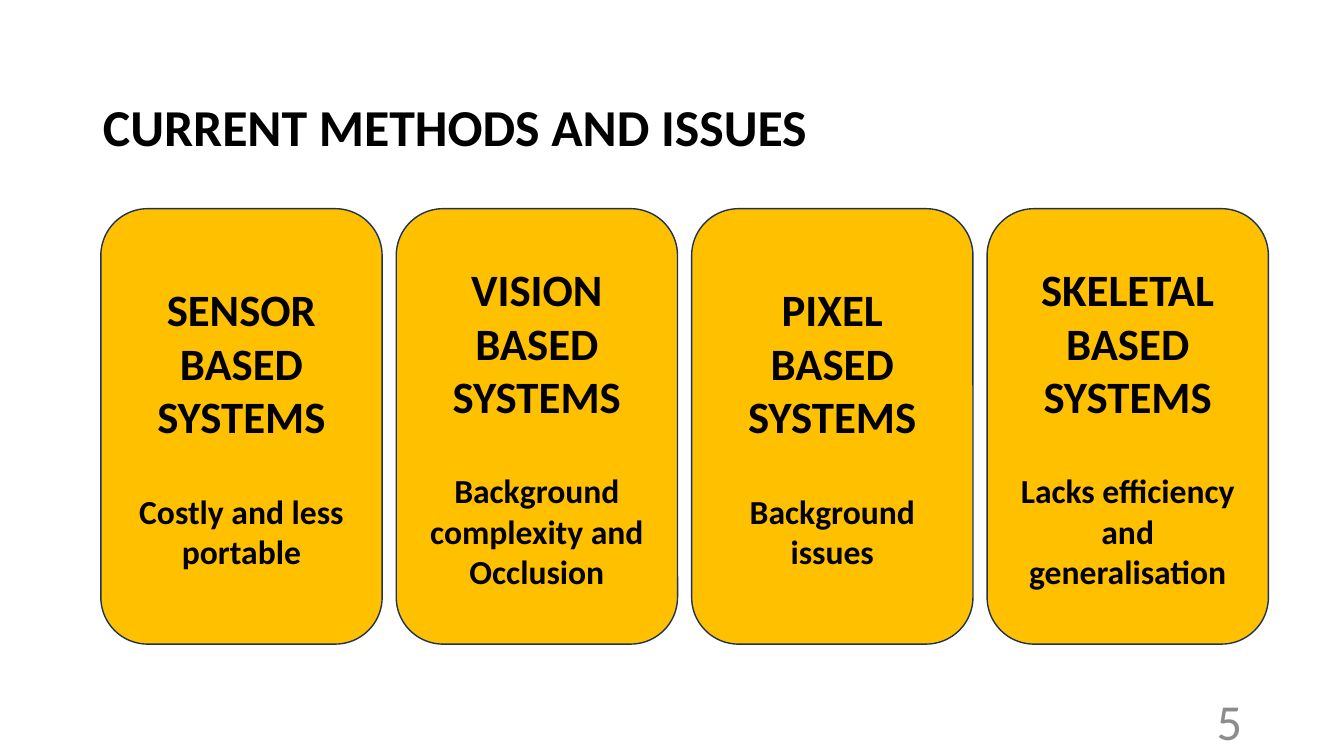
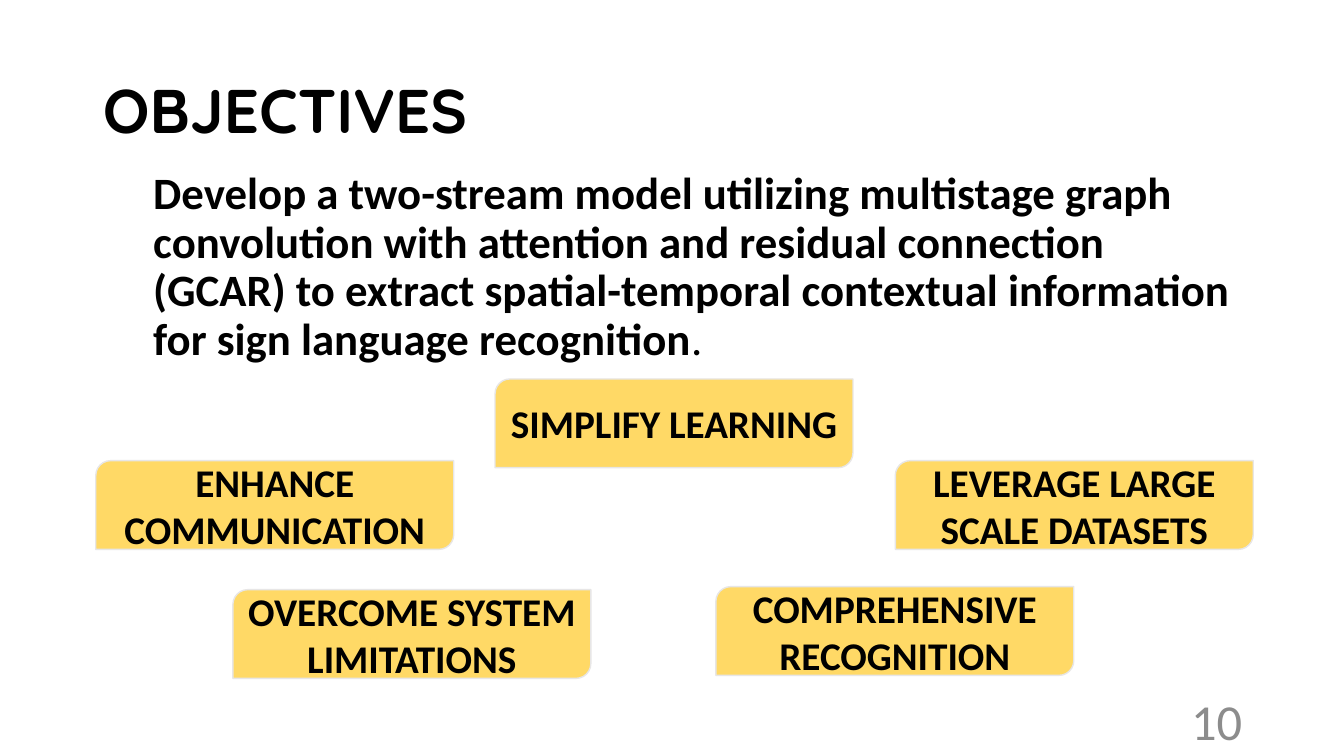
from pptx import Presentation
from pptx.dml.color import RGBColor
from pptx.enum.shapes import MSO_SHAPE
from pptx.enum.text import MSO_ANCHOR, MSO_AUTO_SIZE, PP_ALIGN
from pptx.util import Inches, Pt

ROUNDED = MSO_SHAPE.ROUNDED_RECTANGLE
DIAGONAL = MSO_SHAPE.ROUND_2_DIAG_RECTANGLE
TOP, MIDDLE = MSO_ANCHOR.TOP, MSO_ANCHOR.MIDDLE
LEFT, CENTER, RIGHT = PP_ALIGN.LEFT, PP_ALIGN.CENTER, PP_ALIGN.RIGHT
NO_AUTOFIT = MSO_AUTO_SIZE.NONE
TITLE_ONLY = 5


def color(hex_value):
    return RGBColor.from_string(hex_value)


def write(paragraph, text, size, font="Calibri", ink="000000", bold=True,
          align=LEFT, spacing=1.0, before=0):
    """Append one formatted run to a paragraph."""
    paragraph.alignment = align
    paragraph.line_spacing = spacing
    paragraph.space_before = Pt(before)
    run = paragraph.add_run()
    run.text = text
    run.font.size = Pt(size)
    run.font.name = font
    run.font.bold = bold
    run.font.color.rgb = color(ink)


class Deck:
    """Shared style and the slide being built."""
    GOLD, NAVY = "FFC000", "1E3256"
    PALE_GOLD, PALE_GRAY = "FFD966", "E7E6E6"
    NUMBER_GRAY = "8C8C8C"
    TIGHT = 0.9

    def __init__(self):
        self.presentation = Presentation()
        self.presentation.slide_width = Inches(13.33)
        self.presentation.slide_height = Inches(7.5)
        self.slide = None

    def frame(self, shape, anchor, side_margin=0.1):
        text_frame = shape.text_frame
        text_frame.word_wrap = True
        text_frame.auto_size = NO_AUTOFIT
        text_frame.vertical_anchor = anchor
        text_frame.margin_left = text_frame.margin_right = Inches(side_margin)
        return text_frame

    def new_slide(self, title, number, top, height, anchor, **style):
        layout = self.presentation.slide_layouts[TITLE_ONLY]
        self.slide = self.presentation.slides.add_slide(layout)
        heading = self.slide.shapes.title
        heading.left, heading.top = Inches(0.92), Inches(top)
        heading.width, heading.height = Inches(11.5), Inches(height)
        write(self.frame(heading, anchor).paragraphs[0], title,
              spacing=self.TIGHT, **style)
        page = self.text_box(9.42, 6.95, 3, 0.4, MIDDLE)
        write(page.paragraphs[0], str(number), 36, ink=self.NUMBER_GRAY,
              bold=False, align=RIGHT)

    def text_box(self, left, top, width, height, anchor=TOP):
        box = self.slide.shapes.add_textbox(
            Inches(left), Inches(top), Inches(width), Inches(height))
        return self.frame(box, anchor)

    def panel(self, kind, left, top, width, height, fill, outline, margin):
        shape = self.slide.shapes.add_shape(
            kind, Inches(left), Inches(top), Inches(width), Inches(height))
        shape.shadow.inherit = False
        shape.fill.solid()
        shape.fill.fore_color.rgb = color(fill)
        shape.line.color.rgb = color(outline)
        shape.line.width = Pt(1)
        return self.frame(shape, MIDDLE, margin)

    def method_card(self, left, method, issue):
        card = self.panel(ROUNDED, left, 2.07, 2.79, 4.32,
                          self.GOLD, self.NAVY, 0.15)
        write(card.paragraphs[0], method, 32, align=CENTER)
        write(card.add_paragraph(), issue, 24, align=CENTER, before=34)

    def objective(self, left, top, goal):
        tag = self.panel(DIAGONAL, left, top, 3.55, 0.88,
                         self.PALE_GOLD, self.PALE_GRAY, 0.05)
        write(tag.paragraphs[0], goal, 28, align=CENTER)

    def statement(self, text, ending):
        box = self.text_box(0.92, 1.65, 11.5, 2.1)
        box.margin_left = Inches(0.6)
        paragraph = box.paragraphs[0]
        write(paragraph, text, 32, spacing=self.TIGHT)
        write(paragraph, ending, 32, bold=False, spacing=self.TIGHT)


METHODS = [
    ("SENSOR BASED SYSTEMS", "Costly and less portable"),
    ("VISION BASED SYSTEMS", "Background complexity and Occlusion"),
    ("PIXEL BASED SYSTEMS", "Background issues"),
    ("SKELETAL BASED SYSTEMS", "Lacks efficiency and generalisation"),
]
OBJECTIVES = [
    (0.95, 4.57, "ENHANCE COMMUNICATION"),
    (4.91, 3.76, "SIMPLIFY LEARNING"),
    (8.88, 4.57, "LEVERAGE LARGE SCALE DATASETS"),
    (2.31, 5.85, "OVERCOME SYSTEM LIMITATIONS"),
    (7.1, 5.82, "COMPREHENSIVE RECOGNITION"),
]


def main():
    deck = Deck()

    # Current methods: four evenly spaced cards
    deck.new_slide("CURRENT METHODS AND ISSUES", 5, 0.96, 0.9, TOP, size=37)
    for column, (method, issue) in enumerate(METHODS):
        deck.method_card(1 + 2.93 * column, method, issue)

    # Objectives: statement and five goals
    deck.new_slide("OBJECTIVES", 10, 0.4, 1.45, MIDDLE, size=44,
                   font="Quicksand")
    deck.statement(
        "Develop a two-stream model utilizing multistage graph convolution "
        "with attention and residual connection (GCAR) to extract "
        "spatial-temporal contextual information for sign language "
        "recognition", ".")
    for left, top, goal in OBJECTIVES:
        deck.objective(left, top, goal)

    deck.presentation.save("out.pptx")


if __name__ == "__main__":
    main()
